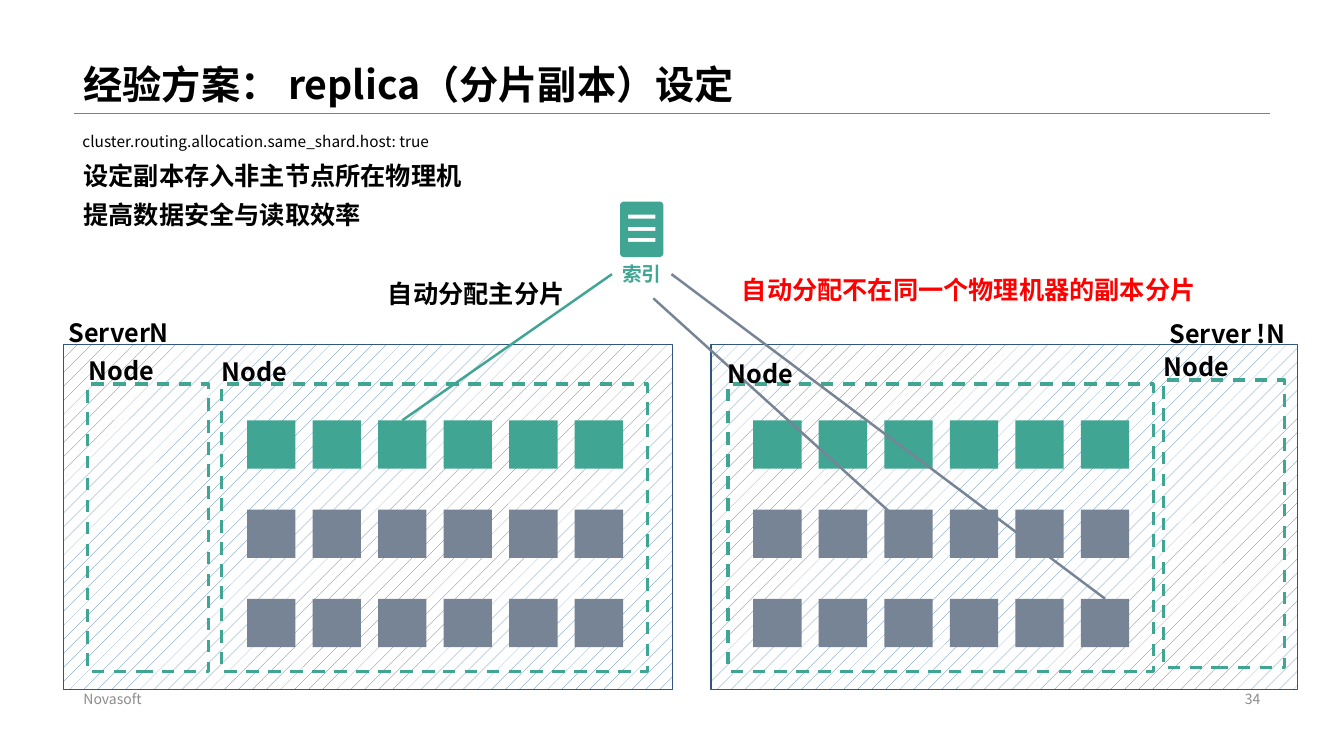
import pptx
import pptx.util
import pptx.dml.color
import pptx.enum.dml
import pptx.enum.shapes
import pptx.enum.text
import pptx.oxml.ns
import math
from lxml import etree
from pptx.util import Inches

FONT = "Noto Sans CJK SC"
COLORS = {name: pptx.dml.color.RGBColor.from_string(value) for name, value in {
    "black": "000000", "white": "FFFFFF", "red": "FF0000", "green": "40A693",
    "slate": "778495", "footer": "8C8C8C", "rule": "808080",
    "hatch": "4276AA", "border": "31577E",
}.items()}
ALIGN = pptx.enum.text.PP_ALIGN
ANCHOR = pptx.enum.text.MSO_ANCHOR
AUTO_SIZE = pptx.enum.text.MSO_AUTO_SIZE
RECTANGLE = pptx.enum.shapes.MSO_SHAPE.RECTANGLE


def write(box, text, size, color, bold=True, align=ALIGN.LEFT, spacing=None,
          anchor=ANCHOR.TOP, grow=True, wrap=True):
    frame = box.text_frame
    frame.text = text
    frame.word_wrap = wrap
    frame.vertical_anchor = anchor
    frame.auto_size = AUTO_SIZE.SHAPE_TO_FIT_TEXT if grow else AUTO_SIZE.NONE
    para = frame.paragraphs[0]
    para.alignment = align
    if spacing:
        para.line_spacing = spacing
    span = para.runs[0]
    span.font.name = FONT
    span.font.size = pptx.util.Pt(size)
    span.font.bold = bold
    span.font.color.rgb = COLORS[color]
    east_asian = etree.SubElement(span.font._element, pptx.oxml.ns.qn("a:ea"))
    east_asian.set("typeface", FONT)


def connect(start, end, color, width):
    line = page.shapes.add_connector(
        pptx.enum.shapes.MSO_CONNECTOR.STRAIGHT, *map(Inches, start + end))
    line.line.color.rgb = COLORS[color]
    line.line.width = pptx.util.Pt(width)
    etree.SubElement(line._element.spPr, pptx.oxml.ns.qn("a:effectLst"))


deck = pptx.Presentation()
deck.slide_width = Inches(13.33)
deck.slide_height = Inches(7.5)
page = deck.slides.add_slide(deck.slide_layouts[5])

connect((0.73, 1.12), (12.6, 1.12), "rule", 0.25)

title = page.shapes.title
title.left, title.top, title.width, title.height = map(Inches, (0.73, 0, 11.87, 1.12))
write(title, "经验方案： replica（分片副本）设定", 28, "black", spacing=0.9,
      anchor=ANCHOR.BOTTOM, grow=False)

for left, width in [(0.63, 6.04), (7.05, 5.82)]:
    server = page.shapes.add_shape(
        RECTANGLE, Inches(left), Inches(3.42), Inches(width), Inches(3.42))
    server.shadow.inherit = False
    server.fill.patterned()
    server.fill.pattern = pptx.enum.dml.MSO_PATTERN.PERCENT_5
    server.fill.fore_color.rgb = COLORS["hatch"]
    server.fill.back_color.rgb = COLORS["white"]
    server.line.color.rgb = COLORS["border"]
    server.line.width = pptx.util.Pt(1)

for left, top, width in [(2.2, 3.81, 4.22), (7.22, 3.81, 4.22),
                         (0.87, 3.81, 1.2), (11.54, 3.77, 1.2)]:
    node = page.shapes.add_shape(
        RECTANGLE, Inches(left), Inches(top), Inches(width), Inches(2.85))
    node.shadow.inherit = False
    node.fill.background()
    node.line.color.rgb = COLORS["green"]
    node.line.width = pptx.util.Pt(2.25)
    node.line.dash_style = pptx.enum.dml.MSO_LINE.DASH

for grid_left in (2.45, 7.47):
    for row, color in enumerate(("green", "slate", "slate")):
        for column in range(6):
            shard = page.shapes.add_shape(
                RECTANGLE, Inches(grid_left + 0.65 * column),
                Inches(4.17 + 0.885 * row), Inches(0.48), Inches(0.48))
            shard.shadow.inherit = False
            shard.fill.solid()
            shard.fill.fore_color.rgb = COLORS[color]
            shard.line.fill.background()

index = page.shapes.add_group_shape()
outline = []
for center_x, center_y, first_angle in [(6.54, 2.04, -90), (6.54, 2.51, 0),
                                        (6.19, 2.51, 90), (6.19, 2.04, 180)]:
    for step in range(7):
        angle = math.radians(first_angle + 15 * step)
        outline.append((Inches(center_x + 0.04 * math.cos(angle)),
                        Inches(center_y + 0.04 * math.sin(angle))))
builder = index.shapes.build_freeform(*outline[0])
builder.add_line_segments(outline[1:])
for bar_top in (2.13, 2.25, 2.36):
    left, right = Inches(6.23), Inches(6.5)
    top, bottom = Inches(bar_top), Inches(bar_top + 0.04)
    builder.move_to(right, bottom)
    builder.add_line_segments([(left, bottom), (left, top), (right, top)])
document = builder.convert_to_shape()
document.shadow.inherit = False
document.fill.solid()
document.fill.fore_color.rgb = COLORS["green"]
document.line.fill.background()
caption = index.shapes.add_textbox(Inches(6.07), Inches(2.55), Inches(0.59), Inches(0.34))
write(caption, "索引", 14, "green", align=ALIGN.CENTER, wrap=False)

connect((3.99, 4.17), (6.07, 2.72), "green", 1.75)
connect((8.88, 5.13), (6.48, 2.96), "slate", 1.75)
connect((10.96, 5.94), (6.66, 2.72), "slate", 1.75)

for text, left, top, width, height, color in [
    ("设定副本存入非主节点所在物理机", 0.73, 1.39, 7.86, 0.56, "black"),
    ("提高数据安全与读取效率", 0.73, 1.78, 11.76, 0.56, "black"),
    ("自动分配主分片", 3.75, 2.56, 2.24, 0.56, "black"),
    ("自动分配不在同一个物理机器的副本分片", 7.26, 2.52, 5.87, 0.5, "red"),
    ("ServerN", 0.58, 2.95, 4.43, 0.5, "black"),
    ("Server !N", 11.5, 2.96, 1.43, 0.56, "black"),
    ("Node", 0.78, 3.33, 4.43, 0.56, "black"),
    ("Node", 2.1, 3.34, 4.43, 0.5, "black"),
    ("Node", 7.12, 3.36, 4.43, 0.56, "black"),
    ("Node", 11.44, 3.29, 1.81, 0.56, "black"),
]:
    label = page.shapes.add_textbox(*map(Inches, (left, top, width, height)))
    write(label, text, 18, color, spacing=1.5)

setting = page.shapes.add_textbox(Inches(0.72), Inches(1.17), Inches(3.67), Inches(0.38))
write(setting, "cluster.routing.allocation.same_shard.host: true", 11, "black",
      bold=False, spacing=1.5, wrap=False)

for text, left, width, align in [("Novasoft", 0.73, 4.53, ALIGN.LEFT),
                                 ("34", 9.42, 3.18, ALIGN.RIGHT)]:
    footer = page.shapes.add_textbox(Inches(left), Inches(6.82), Inches(width), Inches(0.23))
    write(footer, text, 10, "footer", bold=False, align=align,
          anchor=ANCHOR.MIDDLE, grow=False)

deck.save("out.pptx")
